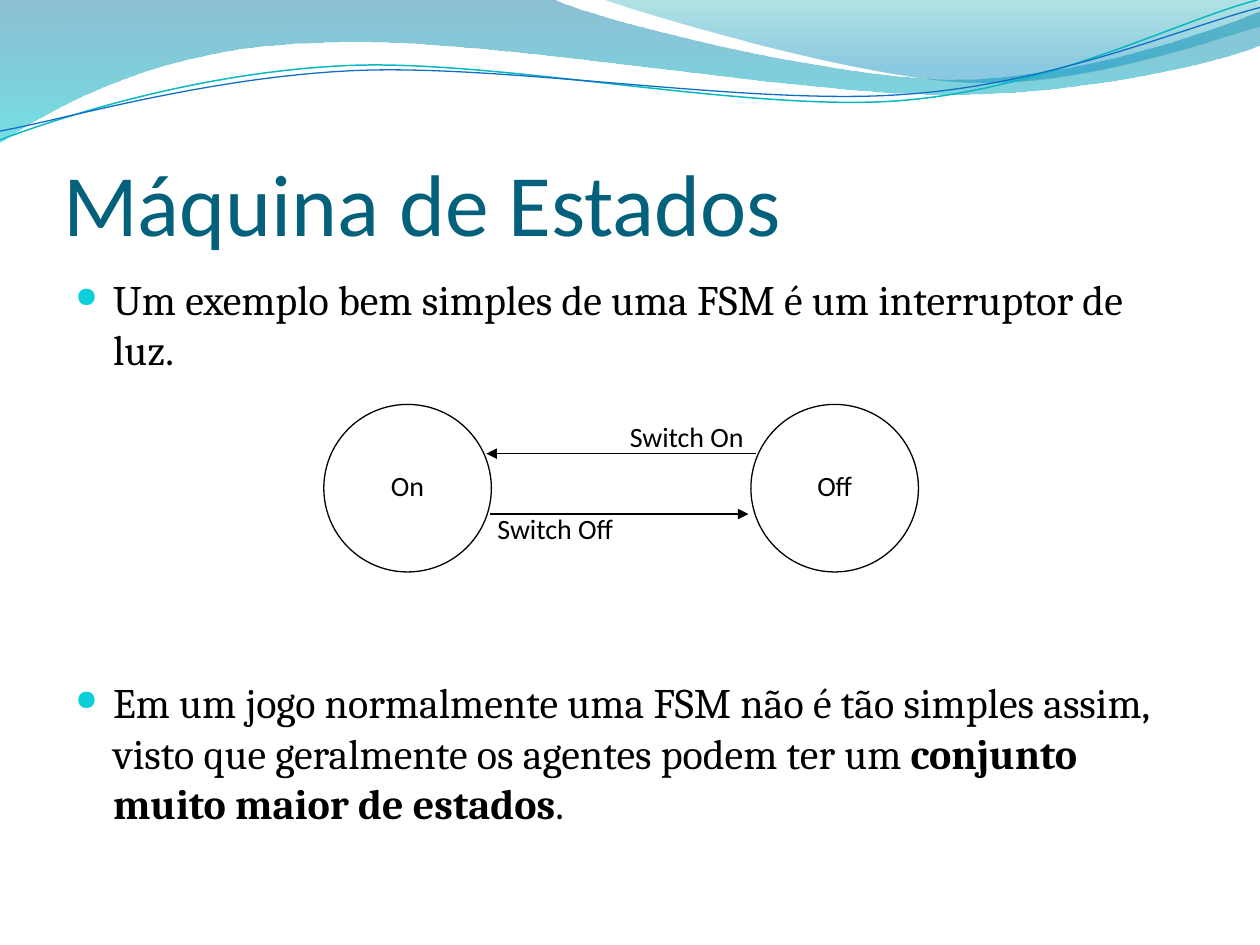
from lxml.etree import SubElement
from pptx import Presentation
from pptx.dml.color import RGBColor
from pptx.enum.shapes import MSO_CONNECTOR, MSO_SHAPE
from pptx.enum.text import MSO_ANCHOR, PP_ALIGN
from pptx.oxml.ns import qn
from pptx.util import Inches, Pt

BLACK = RGBColor(0x00, 0x00, 0x00)
TITLE_TEAL = RGBColor(0x04, 0x61, 0x7B)
WAVE_TEAL = RGBColor(0x0A, 0xB8, 0xBF)
WAVE_BLUE = RGBColor(0x0F, 0x6F, 0xC6)
DEEP_BLUE = RGBColor(0x00, 0x74, 0xA1)
CYAN = RGBColor(0x00, 0xC6, 0xCF)
SEA_GREEN = RGBColor(0x00, 0xA1, 0xA9)
SKY_BLUE = RGBColor(0x00, 0x8B, 0xBF)
BULLET_CYAN = RGBColor(0x0B, 0xD0, 0xD9)

# Content
TITLE = "Máquina de Estados"
BULLETS = [  # space before in points, then (text, bold) spans
    (0, [("Um exemplo bem simples de uma FSM é um interruptor de luz.", False)]),
    (173, [("Em um jogo normalmente uma FSM não é tão simples assim, visto que "
            "geralmente os agentes podem ter um ", False),
           ("conjunto muito maior de estados", True), (".", False)]),
]
DIAMETER, STATE_TOP = 1.33, 3.21
STATES = [("On", 2.57), ("Off", 5.96)]
TRANSITIONS = [  # label, label left and top, arrow start x, end x, y
    ("Switch On", 4.9, 3.28, 6.0, 3.86, 3.6),
    ("Switch Off", 3.85, 4.01, 3.89, 5.94, 4.08),
]

# Header waves: a tuple of 2 numbers is a corner, of 6 a Bezier curve
BANDS = [
    ([(0, 0), (4.4, 0), (4.76, 0.17, 6.64, 0.63, 7.58, 0.63),
      (8.53, 0.63, 9.58, 0.26, 10, 0.09), (10, 0.36),
      (9.83, 0.44, 8.7, 0.76, 7.46, 0.75), (6.22, 0.75, 3.82, 0.28, 2.57, 0.34),
      (1.29, 0.36, 0.46, 0.83, 0, 1.13)],
     [(0, DEEP_BLUE, 45), (1, CYAN, 55)]),
    ([(4.79, 0), (5.09, 0.11, 6.82, 0.62, 7.69, 0.65),
      (8.56, 0.69, 9.61, 0.32, 10, 0.21), (10, 0)],
     [(0, SEA_GREEN, 30), (0.8, SKY_BLUE, 45)]),
]
WAVES = [
    ([(0, 1.11), (0.48, 0.93, 1.58, 0.57, 2.77, 0.52),
      (3.95, 0.47, 5.93, 0.89, 7.13, 0.8), (8.33, 0.71, 9.38, 0.15, 9.98, 0)],
     WAVE_TEAL, 0.85),
    ([(0, 1.04), (0.47, 0.96, 1.64, 0.61, 2.83, 0.56),
      (4.03, 0.51, 5.97, 0.84, 7.17, 0.75), (8.36, 0.67, 9.41, 0.21, 10, 0.06)],
     WAVE_BLUE, 0.75),
]


def add_outline(page, segments, close):
    """Draw straight sides between the knots, then bend those that are curves."""
    knots = [(Inches(segment[-2]), Inches(segment[-1])) for segment in segments]
    builder = page.shapes.build_freeform(*knots[0], scale=1.0)
    builder.add_line_segments(knots[1:], close=close)
    shape = builder.convert_to_shape()
    shape.shadow.inherit = False
    sides = list(shape._element.iter(qn("a:lnTo")))
    for side, segment in zip(sides, segments[1:]):
        if len(segment) == 6:
            side.tag = qn("a:cubicBezTo")
            for index in (0, 2):
                handle = side.makeelement(qn("a:pt"), {
                    "x": str(Inches(segment[index]) - shape.left),
                    "y": str(Inches(segment[index + 1]) - shape.top)})
                side.insert(index // 2, handle)
    return shape


def add_band(page, segments, stops):
    band = add_outline(page, segments, True)
    band.line.fill.background()
    band.fill.gradient()
    band.fill.gradient_angle = 270
    for stop, (position, color, _) in zip(band.fill.gradient_stops, stops):
        stop.position = position
        stop.color.rgb = color
    for node, (_, _, alpha) in zip(band._element.iter(qn("a:srgbClr")), stops):
        SubElement(node, qn("a:alpha")).set("val", str(alpha * 1000))


def set_line(shape, color, width):
    shape.line.color.rgb = color
    shape.line.width = Pt(width)


def add_span(para, text, size, name="Calibri", color=BLACK, bold=False):
    span = para.add_run()
    span.text = text
    span.font.color.rgb = color
    for key, value in {"size": Pt(size), "name": name, "bold": bold}.items():
        setattr(span.font, key, value)


def add_bullet(para):
    properties = para._p.get_or_add_pPr()
    properties.set("marL", str(Inches(0.3)))
    properties.set("indent", str(-Inches(0.3)))
    color = SubElement(properties, qn("a:buClr"))
    SubElement(color, qn("a:srgbClr")).set("val", str(BULLET_CYAN))
    SubElement(properties, qn("a:buSzPct")).set("val", "67000")
    SubElement(properties, qn("a:buChar")).set("char", "●")


def add_arrow(page, start, end, y):
    arrow = page.shapes.add_connector(
        MSO_CONNECTOR.STRAIGHT, Inches(start), Inches(y), Inches(end), Inches(y))
    set_line(arrow, BLACK, 0.75)
    SubElement(arrow.line._get_or_add_ln(), qn("a:tailEnd")).set("type", "triangle")
    SubElement(arrow._element.spPr, qn("a:effectLst"))


def main():
    deck = Presentation()
    deck.slide_width, deck.slide_height = Inches(10), Inches(7.5)
    page = deck.slides.add_slide(deck.slide_layouts[5])

    # Header
    for segments, stops in BANDS:
        add_band(page, segments, stops)
    for segments, color, width in WAVES:
        wave = add_outline(page, segments, False)
        wave.fill.background()
        set_line(wave, color, width)

    # Title
    title = page.shapes.title
    title.left, title.top, title.width, title.height = map(Inches, (0.5, 0.77, 9, 1.25))
    frame = title.text_frame
    for key, value in {"margin_left": 0, "margin_right": 0, "margin_bottom": 0,
                       "margin_top": Inches(0.05),
                       "vertical_anchor": MSO_ANCHOR.BOTTOM}.items():
        setattr(frame, key, value)
    frame.paragraphs[0].alignment = PP_ALIGN.LEFT
    add_span(frame.paragraphs[0], TITLE, 50, color=TITLE_TEAL)

    # Bulleted text, with room for the diagram between the paragraphs
    frame = page.shapes.add_textbox(*map(Inches, (0.5, 2.12, 9, 4.8))).text_frame
    frame.word_wrap = True
    for index, (space, spans) in enumerate(BULLETS):
        para = frame.add_paragraph() if index else frame.paragraphs[0]
        para.space_before = Pt(space)
        add_bullet(para)
        for text, bold in spans:
            add_span(para, text, 24, "Cambria", bold=bold)

    # States
    for name, left in STATES:
        state = page.shapes.add_shape(
            MSO_SHAPE.OVAL, *map(Inches, (left, STATE_TOP, DIAMETER, DIAMETER)))
        state.shadow.inherit = False
        state.fill.background()
        set_line(state, BLACK, 0.75)
        state.text_frame.vertical_anchor = MSO_ANCHOR.MIDDLE
        state.text_frame.margin_bottom = Inches(0.1)
        para = state.text_frame.paragraphs[0]
        para.alignment = PP_ALIGN.CENTER
        add_span(para, name, 16)

    # Transitions
    for label, left, top, start, end, y in TRANSITIONS:
        add_arrow(page, start, end, y)
        box = page.shapes.add_textbox(*map(Inches, (left, top, 1.13, 0.37)))
        box.text_frame.word_wrap = False
        add_span(box.text_frame.paragraphs[0], label, 16)

    deck.save("out.pptx")


if __name__ == "__main__":
    main()
